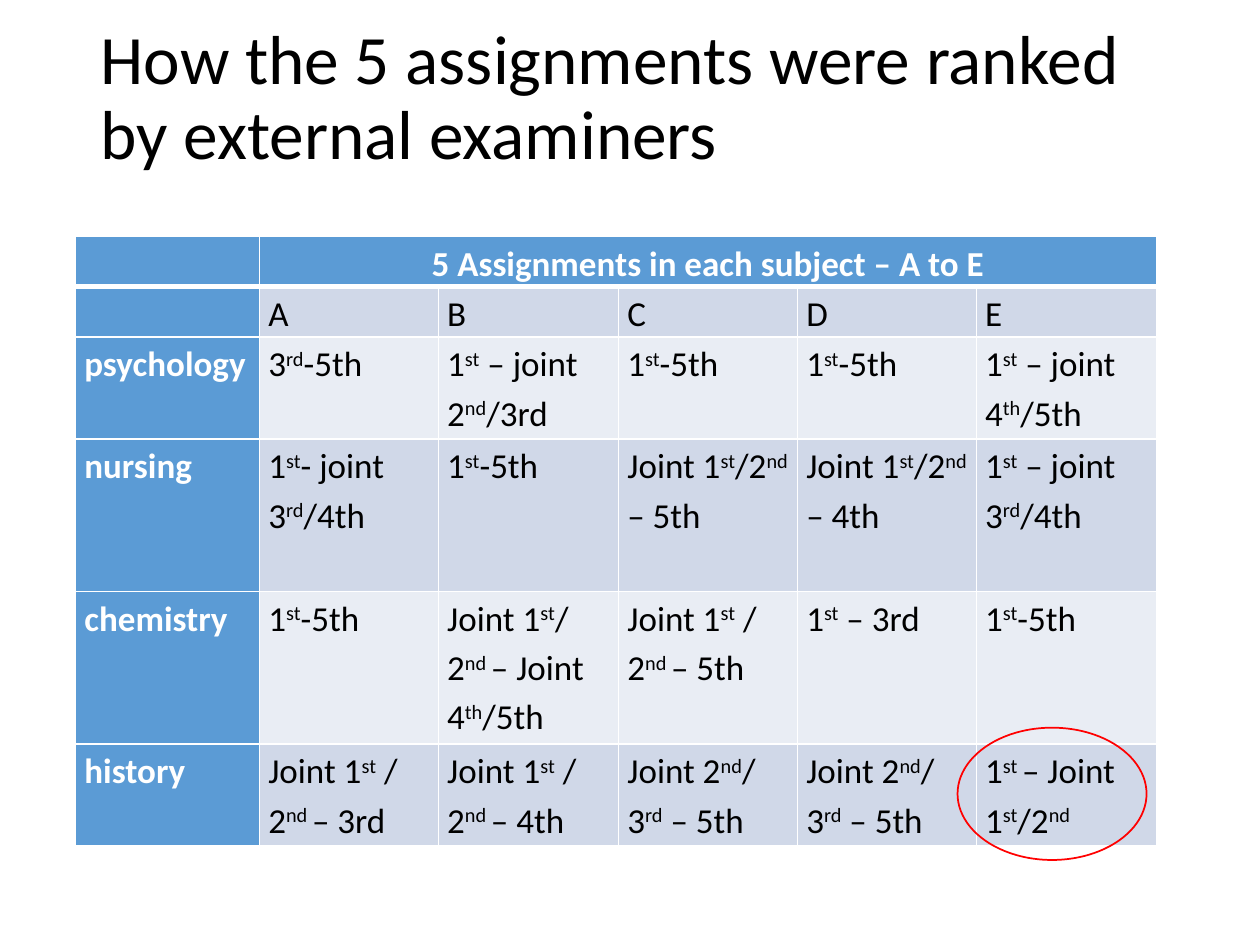
"""Build the slide on how external examiners ranked five assignments."""
import lxml.etree
import pptx
import pptx.dml.color
import pptx.enum.shapes
import pptx.enum.text
import pptx.oxml.ns
import pptx.util

HEADING = "5 Assignments in each subject – A to E"
RANKS = {
    "": ["A", "B", "C", "D", "E"],
    "psychology": ["3^rd^-5th", "1^st^ – joint 2^nd^/3rd", "1^st^-5th", "1^st^-5th",
                   "1^st^ – joint 4^th^/5th"],
    "nursing": ["1^st^- joint 3^rd^/4th", "1^st^-5th", "Joint 1^st^/2^nd ^– 5th",
                "Joint 1^st^/2^nd ^– 4th", "1^st^ – joint 3^rd^/4th"],
    "chemistry": ["1^st^-5th", "Joint 1^st^/ 2^nd ^– Joint 4^th^/5th",
                  "Joint 1^st^ / 2^nd ^– 5th", "1^st^ – 3rd", "1^st^-5th"],
    "history": ["Joint 1^st^ / 2^nd ^– 3rd", "Joint 1^st^ / 2^nd ^– 4th",
                "Joint 2^nd^/ 3^rd^ – 5th", "Joint 2^nd^/ 3^rd^ – 5th",
                "1^st ^– Joint 1^st^/2^nd^"],
}
COLUMN_WIDTHS = [1.46, 1.42, 1.43, 1.42, 1.42, 1.43]
ROW_HEIGHTS = [0.4, 0.4, 0.81, 1.21, 1.21, 0.81]


def color(value):
    """Turn a hex string into a colour."""
    return pptx.dml.color.RGBColor.from_string(value)


def apply(target, values):
    """Set every attribute named in a dict."""
    for name, value in values.items():
        setattr(target, name, value)


class SlideBuilder:
    """Hold the style and the current slide."""

    font = "Calibri"
    black, white, red = "000000", "FFFFFF", "FF0000"
    header, bands = "5B9BD5", ["E9EDF4", "D0D8E8"]

    def __init__(self, deck):
        """Add a title-only slide to the deck."""
        self.width, self.height = deck.slide_width, deck.slide_height
        self.slide = deck.slides.add_slide(deck.slide_layouts[5])

    def place(self, left, top, width, height):
        """Convert shares of the slide's size to lengths."""
        return [round(left * self.width), round(top * self.height),
                round(width * self.width), round(height * self.height)]

    def style(self, font, size, tone, bold=False):
        """Format a font."""
        apply(font, {"name": self.font, "size": pptx.util.Pt(size), "bold": bold})
        font.color.rgb = color(tone)

    def title(self, text, *shares):
        """Fill and format the title placeholder."""
        box = self.slide.shapes.title
        apply(box, dict(zip(["left", "top", "width", "height"], self.place(*shares))))
        apply(box.text_frame, {
            "text": text, "word_wrap": True,
            "auto_size": pptx.enum.text.MSO_AUTO_SIZE.NONE,
            "vertical_anchor": pptx.enum.text.MSO_ANCHOR.MIDDLE,
            "margin_bottom": pptx.util.Inches(0.65)})
        para = box.text_frame.paragraphs[0]
        apply(para, {"alignment": pptx.enum.text.PP_ALIGN.LEFT, "line_spacing": 0.9})
        self.style(para.runs[0].font, 39.6, self.black)

    def borders(self, cell, top, bottom):
        """Draw white cell borders, with widths in points."""
        properties = cell._tc.get_or_add_tcPr()
        for index, (side, points) in enumerate({"L": 1, "R": 1, "T": top, "B": bottom}.items()):
            line = lxml.etree.Element(pptx.oxml.ns.qn(f"a:ln{side}"), w=str(pptx.util.Pt(points)))
            fill = lxml.etree.SubElement(line, pptx.oxml.ns.qn("a:solidFill"))
            lxml.etree.SubElement(fill, pptx.oxml.ns.qn("a:srgbClr"), val=self.white)
            properties.insert(index, line)

    def cell(self, cell, text, fill, tone, bold):
        """Fill a cell, raising the text between carets."""
        cell.fill.solid()
        cell.fill.fore_color.rgb = color(fill)
        side = pptx.util.Inches(0.07)
        apply(cell, {"margin_left": side, "margin_right": side,
                     "margin_top": 0, "margin_bottom": 0})
        para = cell.text_frame.paragraphs[0]
        apply(para, {"line_spacing": 1.15, "space_after": pptx.util.Pt(10)})
        for index, part in enumerate(text.split("^")):
            if part:
                span = para.add_run()
                span.text = part
                self.style(span.font, 20, tone, bold)
                if index % 2:
                    span.font._element.set("baseline", "30000")

    def table(self, rows, widths, heights, *shares):
        """Add a table with a heading row, a heading column and banded rows."""
        table = self.slide.shapes.add_table(len(rows), len(widths), *self.place(*shares)).table
        for column, width in zip(table.columns, widths):
            column.width = pptx.util.Inches(width)
        for row, height in zip(table.rows, heights):
            row.height = pptx.util.Inches(height)
        for row, texts in enumerate(rows):
            for column, text in enumerate(texts):
                cell = table.cell(row, column)
                heading = row == 0 or column == 0
                fill = self.header if heading else self.bands[row % 2]
                self.cell(cell, text, fill, self.white if heading else self.black, heading)
                self.borders(cell, 3 if row == 1 else 1, 3 if row == 0 else 1)
        table.cell(0, 1).merge(table.cell(0, len(widths) - 1))
        table.cell(0, 1).text_frame.paragraphs[0].alignment = pptx.enum.text.PP_ALIGN.CENTER

    def ring(self, *shares):
        """Add an unfilled red ellipse."""
        ring = self.slide.shapes.add_shape(pptx.enum.shapes.MSO_SHAPE.OVAL, *self.place(*shares))
        ring.shadow.inherit = False
        ring.fill.background()
        ring.line.color.rgb = color(self.red)
        ring.line.width = pptx.util.Pt(1)


def main():
    """Build and save the deck."""
    deck = pptx.Presentation()
    apply(deck, {"slide_width": pptx.util.Inches(10), "slide_height": pptx.util.Inches(7.5)})
    page = SlideBuilder(deck)
    page.title("How the 5 assignments were ranked by external examiners",
               0.07, 0.05, 0.86, 0.19)
    rows = [["", HEADING, "", "", "", ""]]
    rows += [[subject, *ranks] for subject, ranks in RANKS.items()]
    page.table(rows, COLUMN_WIDTHS, ROW_HEIGHTS, 0.06, 0.25, 0.86, 0.65)
    page.ring(0.76, 0.77, 0.15, 0.14)
    deck.save("out.pptx")


if __name__ == "__main__":
    main()
